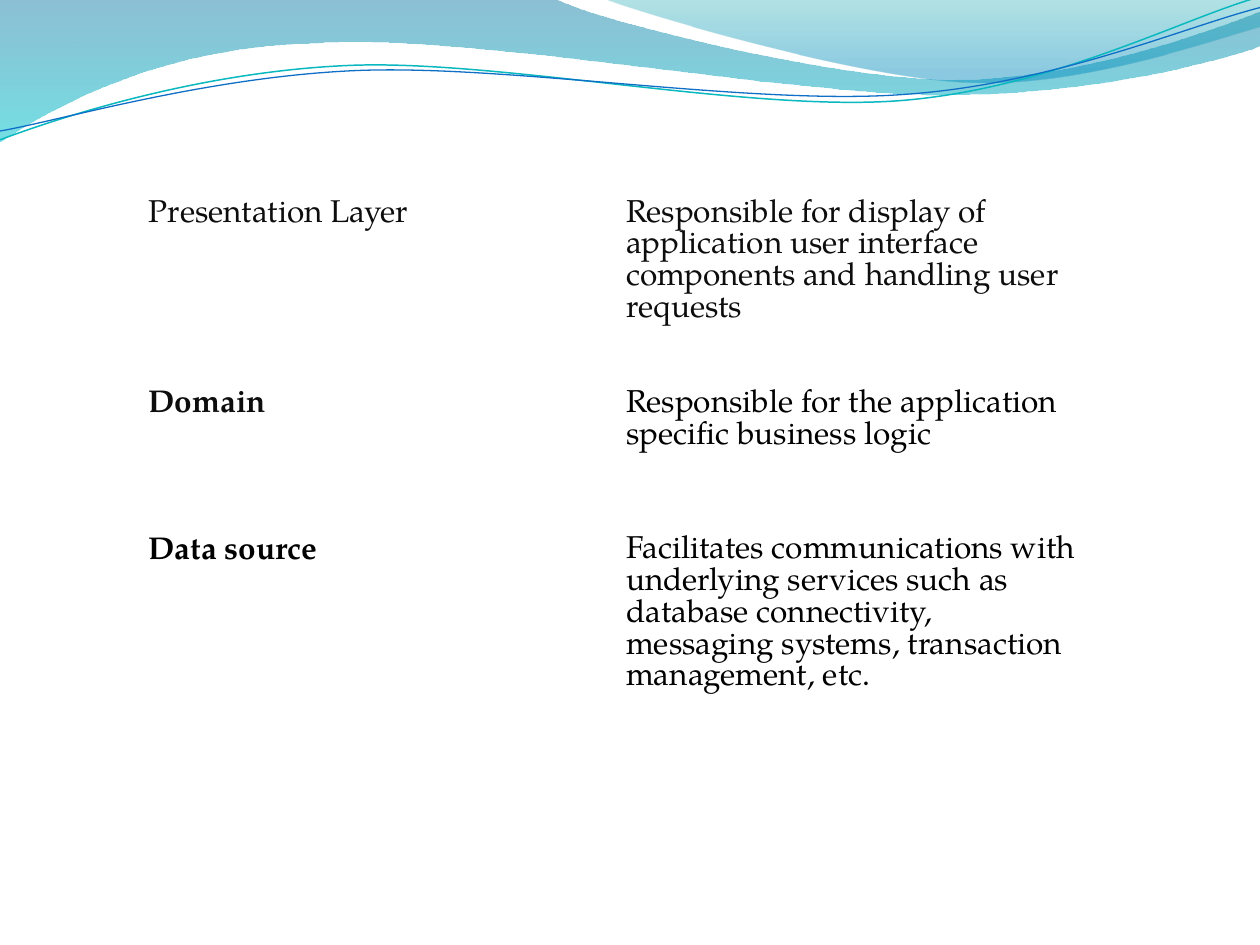
import math

from lxml import etree
from pptx import Presentation
from pptx.dml.color import RGBColor
from pptx.oxml import ns
from pptx.util import Inches, Pt

FONT = "TeX Gyre Pagella"
BLACK = RGBColor(0x00, 0x00, 0x00)
SOFT_BLACK = RGBColor(0x0D, 0x0D, 0x0D)
DEEP_BLUE = RGBColor(0x00, 0x74, 0xA1)
CYAN = RGBColor(0x00, 0xC6, 0xCF)
TEAL = RGBColor(0x00, 0xA1, 0xA9)
SKY_BLUE = RGBColor(0x00, 0x8B, 0xBF)
LINE_TEAL = RGBColor(0x0A, 0xB8, 0xBF)
LINE_BLUE = RGBColor(0x0F, 0x6F, 0xC6)

CURVE_TILT = 357.3

# Each path is a start point, then lines (x, y) or cubic curves (x1, y1, x2, y2, x, y).
WIDE_WAVE = [
    (0, 0), (4.4, -0.01),
    (4.76, 0.17, 6.64, 0.63, 7.58, 0.63), (8.53, 0.63, 9.58, 0.26, 10, 0.09),
    (10.01, 0.36),
    (9.83, 0.44, 8.7, 0.76, 7.46, 0.75), (6.22, 0.75, 3.82, 0.28, 2.57, 0.34),
    (1.29, 0.36, 0.46, 0.83, -0.01, 1.13), (0, 0),
]
RIGHT_WAVE = [
    (4.79, -0.01),
    (5.09, 0.11, 6.82, 0.62, 7.69, 0.65), (8.56, 0.69, 9.61, 0.32, 10, 0.21),
    (10, 0), (4.79, -0.01),
]
TEAL_CURVE = [
    (0, 1.11),
    (0.48, 0.93, 1.58, 0.57, 2.77, 0.52), (3.95, 0.47, 5.93, 0.89, 7.13, 0.8),
    (8.33, 0.71, 9.38, 0.15, 9.98, -0.02),
]
BLUE_CURVE = [
    (0, 1.04),
    (0.47, 0.96, 1.64, 0.61, 2.83, 0.56), (4.03, 0.51, 5.97, 0.84, 7.17, 0.75),
    (8.36, 0.67, 9.41, 0.21, 10, 0.06),
]

# Layer name, its bold flag and colour, responsibility, its colour
LAYERS = [
    ("Presentation Layer", False, SOFT_BLACK,
     "Responsible for display of application user interface components "
     "and handling user requests ", SOFT_BLACK),
    ("Domain", True, SOFT_BLACK,
     "Responsible for the application specific business logic ", BLACK),
    ("Data source ", True, BLACK,
     "Facilitates communications with underlying services such as database "
     "connectivity, messaging systems, transaction management, etc. ", BLACK),
]
ROW_HEIGHTS = [1.51, 1.16, 2.21]


def turn(x, y, center, degrees):
    a = math.radians(degrees)
    dx, dy = x - center[0], y - center[1]
    return (center[0] + dx * math.cos(a) - dy * math.sin(a),
            center[1] + dx * math.sin(a) + dy * math.cos(a))


def add_outline(shapes, path, box, close=False, rotation=0):
    """Add a freeform that fills the box, with true curves along the path."""
    left, top, width, height = box
    right, bottom = left + width, top + height
    center = (left + width / 2, top + height / 2)
    builder = shapes.build_freeform(Inches(left), Inches(top))
    builder.add_line_segments([(Inches(right), Inches(top)),
                               (Inches(right), Inches(bottom)),
                               (Inches(left), Inches(bottom))], close=False)
    sp = builder.convert_to_shape()
    sp.shadow.inherit = False
    sp.rotation = rotation
    outline = next(sp._element.iter(ns.qn("a:path")))
    for command in list(outline):
        outline.remove(command)
    for i, segment in enumerate(path):
        tag = "moveTo" if i == 0 else "lnTo" if len(segment) == 2 else "cubicBezTo"
        command = etree.SubElement(outline, ns.qn(f"a:{tag}"))
        for x, y in zip(segment[::2], segment[1::2]):
            x, y = turn(x, y, center, -rotation)
            pt = etree.SubElement(command, ns.qn("a:pt"))
            pt.set("x", str(Inches(x - left)))
            pt.set("y", str(Inches(y - top)))
    if close:
        etree.SubElement(outline, ns.qn("a:close"))
    return sp


def add_wave(shapes, path, box, stops):
    """Add a top-to-bottom gradient; stops are (position, colour, opacity %)."""
    sp = add_outline(shapes, path, box, close=True)
    sp.line.fill.background()
    sp.fill.gradient()
    sp.fill.gradient_angle = 270
    for stop, (position, color, opacity) in zip(sp.fill.gradient_stops, stops):
        stop.position = position
        stop.color.rgb = color
    colors = sp._element.spPr.iter(ns.qn("a:srgbClr"))
    for clr, (_, _, opacity) in zip(colors, stops):
        etree.SubElement(clr, ns.qn("a:alpha")).set("val", str(opacity * 1000))


def add_curve(shapes, path, box, color, width):
    sp = add_outline(shapes, path, box, rotation=CURVE_TILT)
    sp.fill.background()
    sp.line.color.rgb = color
    sp.line.width = Pt(width)


def fill_cell(cell, words, bold, color):
    cell.fill.background()
    p = cell.text_frame.paragraphs[0]
    p.text = words
    p.line_spacing = Pt(18.2)
    p.font.name = FONT
    p.font.size = Pt(18)
    p.font.bold = bold
    p.font.color.rgb = color


def add_layer_table(s):
    table = s.shapes.add_table(len(LAYERS), 2, Inches(1.08), Inches(1.53),
                               Inches(7.58), Inches(sum(ROW_HEIGHTS))).table
    for row, height, layer in zip(table.rows, ROW_HEIGHTS, LAYERS):
        name, bold, name_color, duty, duty_color = layer
        row.height = Inches(height)
        fill_cell(row.cells[0], name, bold, name_color)
        fill_cell(row.cells[1], duty, False, duty_color)


def main():
    prs = Presentation()
    prs.slide_width, prs.slide_height = Inches(10), Inches(7.5)
    s = prs.slides.add_slide(prs.slide_layouts[6])
    add_wave(s.shapes, WIDE_WAVE, (-0.01, -0.01, 10.02, 1.14),
             [(0, DEEP_BLUE, 45), (1, CYAN, 55)])
    add_wave(s.shapes, RIGHT_WAVE, (4.79, -0.01, 5.21, 0.7),
             [(0, TEAL, 30), (0.8, SKY_BLUE, 45)])
    curves = s.shapes.add_group_shape().shapes
    add_curve(curves, TEAL_CURVE, (-0.02, 0.22, 10.02, 0.71), LINE_TEAL, 0.85)
    add_curve(curves, BLUE_CURVE, (-0.02, 0.3, 10.03, 0.58), LINE_BLUE, 0.75)
    add_layer_table(s)
    prs.save("out.pptx")


if __name__ == "__main__":
    main()
